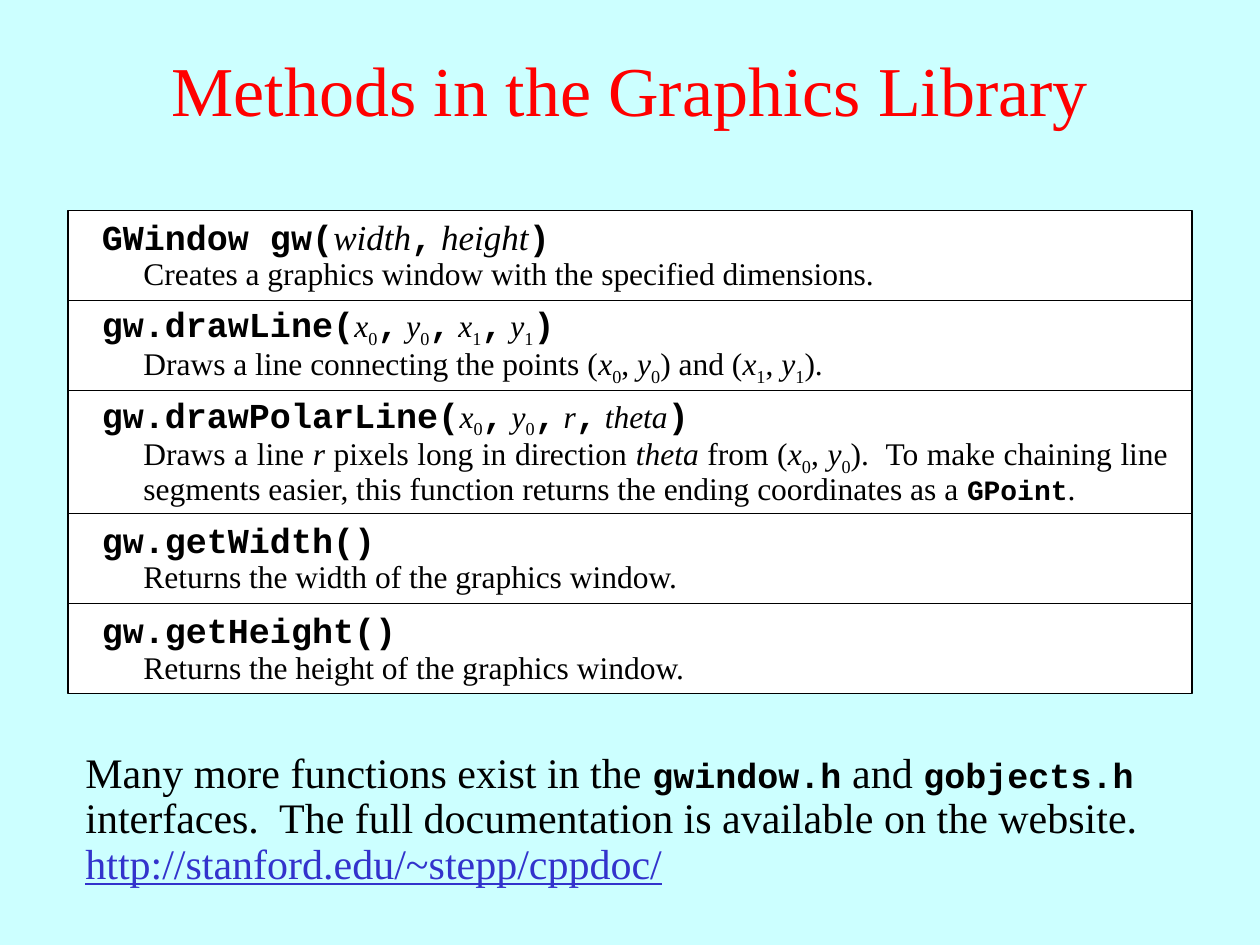
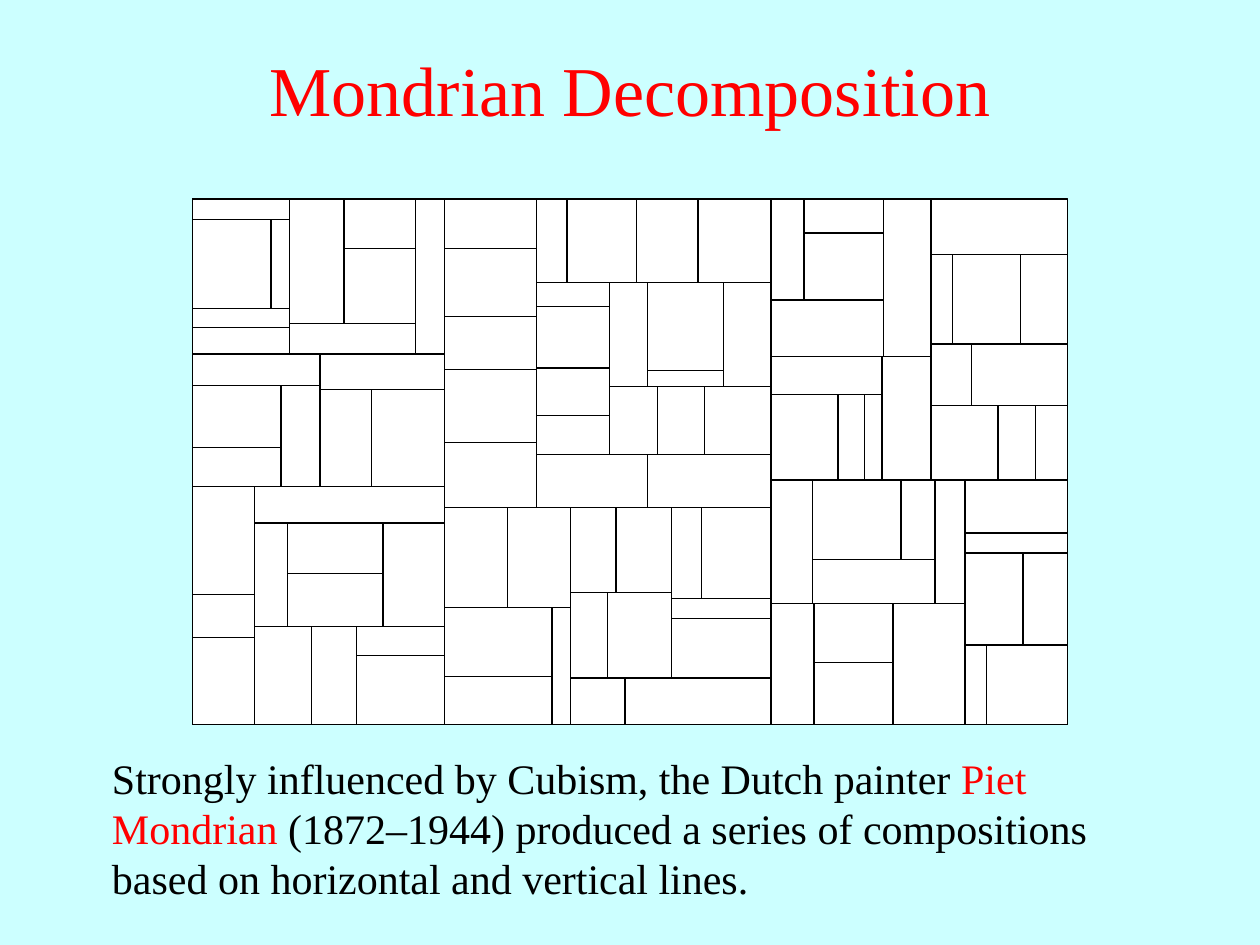
from lxml import etree
from pptx import Presentation
from pptx.dml.color import RGBColor
from pptx.enum.shapes import MSO_CONNECTOR, MSO_SHAPE
from pptx.enum.text import MSO_ANCHOR, PP_ALIGN
from pptx.oxml.ns import qn
from pptx.util import Inches, Pt

STRAIGHT = MSO_CONNECTOR.STRAIGHT
RECTANGLE = MSO_SHAPE.RECTANGLE
LEFT, CENTER, JUSTIFY = PP_ALIGN.LEFT, PP_ALIGN.CENTER, PP_ALIGN.JUSTIFY
TOP, MIDDLE = MSO_ANCHOR.TOP, MSO_ANCHOR.MIDDLE

COLORS = {
    "background": "CCFFFF",
    "accent": "FF0000",
    "ink": "000000",
    "panel": "FFFFFF",
    "link": "3333CC",
}
SERIF, MONO = "Times New Roman", "Courier New"
# Run styles: font, size, bold, italic, colour
STYLES = {
    "title": (SERIF, 40, False, False, "accent"),
    "body": (SERIF, 24, False, False, "ink"),
    "highlight": (SERIF, 24, False, False, "accent"),
    "link": (SERIF, 24, False, False, "link"),
    "code": (MONO, 20, True, False, "ink"),
    "type": (MONO, 16, True, False, "ink"),
    "parameter": (SERIF, 20, False, True, "ink"),
    "text": (SERIF, 18, False, False, "ink"),
    "variable": (SERIF, 18, False, True, "ink"),
    "subscript": (SERIF, 18, False, False, "ink"),
}
LINE_WIDTH = Pt(0.75)

presentation = Presentation()
presentation.slide_width = Inches(10)
presentation.slide_height = Inches(7.5)

# Grid: 100 columns by 75 rows
COLUMN = presentation.slide_width / 100
ROW = presentation.slide_height / 75


def add_text(slide, left, top, width, height, paragraphs, align=LEFT, spacing=1, anchor=TOP):
    """Write paragraphs, each a list of (text, style) runs."""
    box = slide.shapes.add_textbox(
        round(left * COLUMN), round(top * ROW), round(width * COLUMN), round(height * ROW))
    text_frame = box.text_frame
    text_frame.word_wrap = True
    text_frame.vertical_anchor = anchor
    for index, runs in enumerate(paragraphs):
        paragraph = text_frame.add_paragraph() if index else text_frame.paragraphs[0]
        paragraph.alignment = align
        paragraph.line_spacing = spacing
        for text, style in runs:
            run = paragraph.add_run()
            run.text = text
            font = run.font
            font.name, size, font.bold, font.italic, color = STYLES[style]
            font.size = Pt(size)
            font.color.rgb = RGBColor.from_string(COLORS[color])
            if style == "link":
                font.underline = True
            if style == "subscript":
                run._r.get_or_add_rPr().set("baseline", "-25000")


def add_panel(slide, left, top, width, height):
    """Draw a white rectangle with a thin black outline."""
    panel = slide.shapes.add_shape(
        RECTANGLE,
        round(left * COLUMN), round(top * ROW), round(width * COLUMN), round(height * ROW))
    panel.shadow.inherit = False
    panel.fill.solid()
    panel.fill.fore_color.rgb = RGBColor.from_string(COLORS["panel"])
    panel.line.color.rgb = RGBColor.from_string(COLORS["ink"])
    panel.line.width = LINE_WIDTH


# Slides with their background and title
slides = []
for title in ("Methods in the Graphics Library", "Mondrian Decomposition"):
    slide = presentation.slides.add_slide(presentation.slide_layouts[6])
    slide.background.fill.solid()
    slide.background.fill.fore_color.rgb = RGBColor.from_string(COLORS["background"])
    add_text(slide, 0, 0.8, 100, 12.5, [[(title, "title")]], CENTER, anchor=MIDDLE)
    slides.append(slide)
methods_slide, mondrian_slide = slides

# Method list: name, parameters (each a list of runs), description, its line count
X0, Y0, X1, Y1 = [
    [(letter, "variable"), (digit, "subscript")] for digit in "01" for letter in "xy"]
COMMA = (", ", "text")
methods = [
    ("GWindow gw", [[("width", "parameter")], [("height", "parameter")]],
     [("Creates a graphics window with the specified dimensions.", "text")], 1),
    ("gw.drawLine", [X0, Y0, X1, Y1],
     [("Draws a line connecting the points (", "text"), *X0, COMMA, *Y0,
      (") and (", "text"), *X1, COMMA, *Y1, (").", "text")], 1),
    ("gw.drawPolarLine", [X0, Y0, [("r", "variable")], [("theta", "variable")]],
     [("Draws a line ", "text"), ("r", "variable"),
      (" pixels long in direction ", "text"), ("theta", "variable"),
      (" from (", "text"), *X0, COMMA, *Y0,
      (").  To make chaining line segments easier, this function returns "
       "the ending coordinates as a ", "text"),
      ("GPoint", "type"), (".", "text")], 2),
    ("gw.getWidth", [], [("Returns the width of the graphics window.", "text")], 1),
    ("gw.getHeight", [], [("Returns the height of the graphics window.", "text")], 1),
]
SIGNATURE_HEIGHT, DESCRIPTION_OFFSET = 4.4, 3
FIRST_LINE_HEIGHT, EXTRA_LINE_HEIGHT = 7.15, 2.6
top = 16.7
for name, parameters, description, line_count in methods:
    signature = [(name + "(", "code")]
    for index, parameter in enumerate(parameters):
        if index:
            signature += [(",", "code"), (" ", parameter[0][1])]
        signature += parameter
    signature.append((")", "code"))

    # Subscripts make the line taller, so its box starts a little higher
    rise = 0.3 if X0 in parameters else 0.1
    height = FIRST_LINE_HEIGHT + EXTRA_LINE_HEIGHT * (line_count - 1)
    align, spacing = (JUSTIFY, 0.9) if line_count > 1 else (LEFT, 1)
    add_panel(methods_slide, 5.4, top, 89.2, height)
    add_text(methods_slide, 7.1, top - rise, 85.8, SIGNATURE_HEIGHT, [signature])
    add_text(methods_slide, 10.4, top + DESCRIPTION_OFFSET, 83.3,
             height - DESCRIPTION_OFFSET, [description], align, spacing)
    top += height

# Closing note on the documentation
add_text(methods_slide, 5.8, 59.2, 88.3, 11.9, [
    [("Many more functions exist in the ", "body"), ("gwindow.h", "code"),
     (" and ", "body"), ("gobjects.h", "code"),
     (" interfaces.  The full documentation is available on the website.", "body")],
    [("http://stanford.edu/~stepp/cppdoc/", "link")],
], spacing=0.9)

# Mondrian composition: a block is a list of strips, each given by its weight.
# A strip written (weight, block) is divided again, in the other direction:
# columns are divided into rows, and rows into columns.
west_top = [
    (77, [16, (71, [62, 15]), 15, 21]),
    (100, [(99, [43, (57, [39, 60])]), 24]),
    23,
]
west_middle = [
    (101, [25, (80, [(70, [49, 31]), 31])]),
    (99, [28, (77, [41, 58])]),
]
west_bottom = [
    (49, [86, 34, 69]),
    (151, [29, (82, [26, (76, [40, 42]), 49]), (78, [45, 36, (70, [23, 55])])]),
]

center_inner = [
    (58, [19, 49, 38, 31]),
    (128, [(83, [30, (60, [70, 13]), 38]), (54, [38, 37, 53])]),
]
center_top = [
    (73, [39, 54, 42, 58, 52]),
    (186, [(66, [24, 55, 49, 58]), (137, center_inner), (42, [88, 98])]),
]
center_inset = [
    (80, [(67, [36, 44]), (68, [29, 51])]),
    (79, [(72, [24, 55]), 16, 47]),
]
center_bottom = [
    (100, [(79, [50, 50]), (93, [(85, [55, 38]), 15])]),
    (159, [(135, center_inset), (37, [43, 116])]),
]

east_inner = [
    (125, [(89, [(80, [26, (63, [27, 53])]), 45]), 38]),
    (98, [(88, [30, (68, [53, 21, 14])]), 39]),
]
east_top = [
    (127, east_inner),
    (108, [44, (71, [17, 54, 37]), (49, [32, 76]), (59, [53, 30, 25])]),
]
east_bottom = [
    (154, [(98, [33, (97, [(63, [70, 27]), 35]), 24]), (96, [37, (68, [47, 49]), 62])]),
    (81, [42, 16, (73, [46, 35]), (63, [17, 64])]),
]

west = [(123, west_top), (105, west_middle), (189, west_bottom)]
center = [(245, center_top), (172, center_bottom)]
east = [(223, east_top), (194, east_bottom)]

# Canvas and its two panels
CANVAS_LEFT, CANVAS_TOP = 15.3, 15.8
CANVAS_WIDTH, CANVAS_HEIGHT = 69.4, 41.7
PANEL_WIDTH = 45.9
panel_split = CANVAS_LEFT + PANEL_WIDTH
east_width = CANVAS_WIDTH - PANEL_WIDTH
for left, width in (
        (CANVAS_LEFT, CANVAS_WIDTH), (CANVAS_LEFT, PANEL_WIDTH), (panel_split, east_width)):
    add_panel(mondrian_slide, left, CANVAS_TOP, width, CANVAS_HEIGHT)

# Divide each block; its divided strips join the end of the list
blocks = [
    (CANVAS_LEFT, CANVAS_TOP, PANEL_WIDTH, CANVAS_HEIGHT, [(200, west), (259, center)], True),
    (panel_split, CANVAS_TOP, east_width, CANVAS_HEIGHT, [(235, east)], True),
]
for left, top, width, height, strips, in_columns in blocks:
    divided = [strip if isinstance(strip, tuple) else (strip, None) for strip in strips]
    total = sum(weight for weight, inner in divided)
    right, bottom = left + width, top + height
    for index, (weight, inner) in enumerate(divided):
        if index:
            end_x, end_y = (left, bottom) if in_columns else (right, top)
            cut = mondrian_slide.shapes.add_connector(
                STRAIGHT, round(left * COLUMN), round(top * ROW),
                round(end_x * COLUMN), round(end_y * ROW))
            cut.line.color.rgb = RGBColor.from_string(COLORS["ink"])
            cut.line.width = LINE_WIDTH
            etree.SubElement(cut._element.spPr, qn("a:effectLst"))
        share = weight / total
        strip_width = width * share if in_columns else width
        strip_height = height if in_columns else height * share
        if inner:
            blocks.append((left, top, strip_width, strip_height, inner, not in_columns))
        if in_columns:
            left += strip_width
        else:
            top += strip_height

# Caption below the canvas
add_text(mondrian_slide, 7.9, 59.2, 84.2, 13.1, [[
    ("Strongly influenced by Cubism, the Dutch painter ", "body"),
    ("Piet Mondrian", "highlight"),
    (" (1872–1944) produced a series of compositions based on horizontal "
     "and vertical lines.", "body"),
]])

presentation.save("out.pptx")
